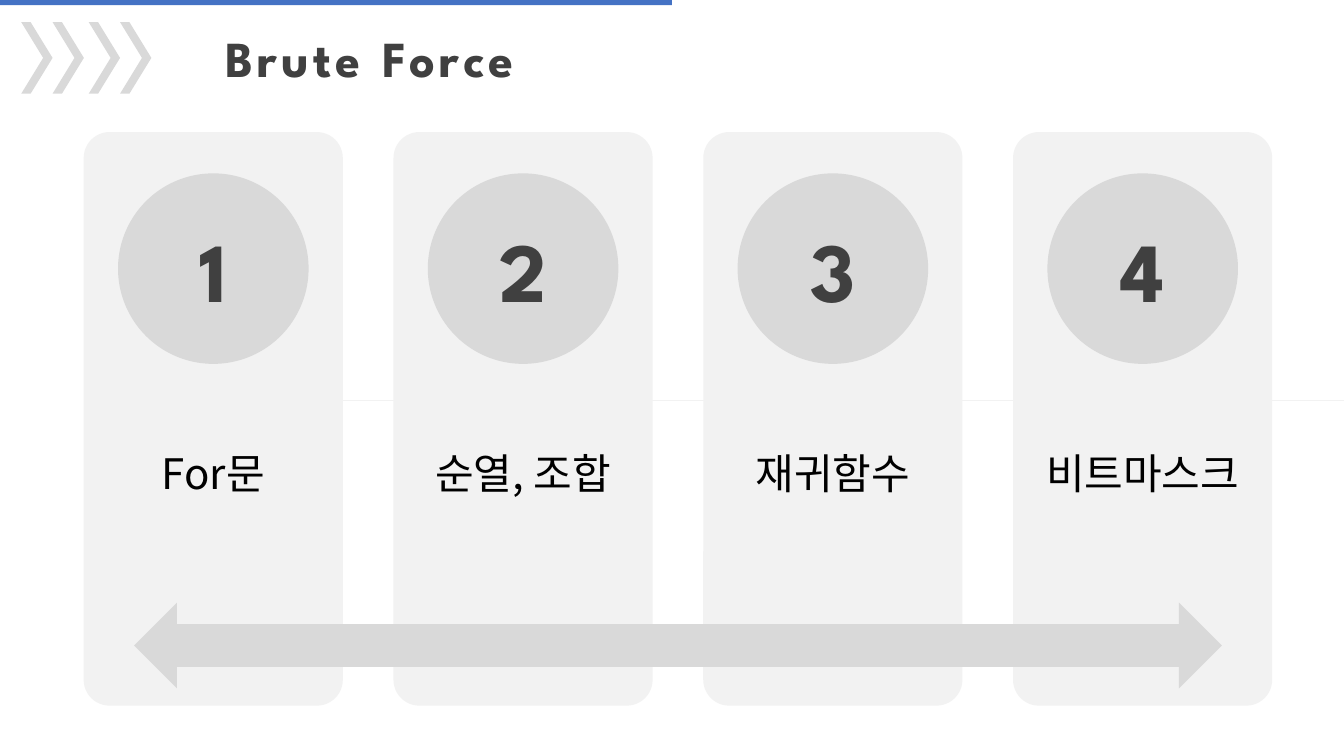
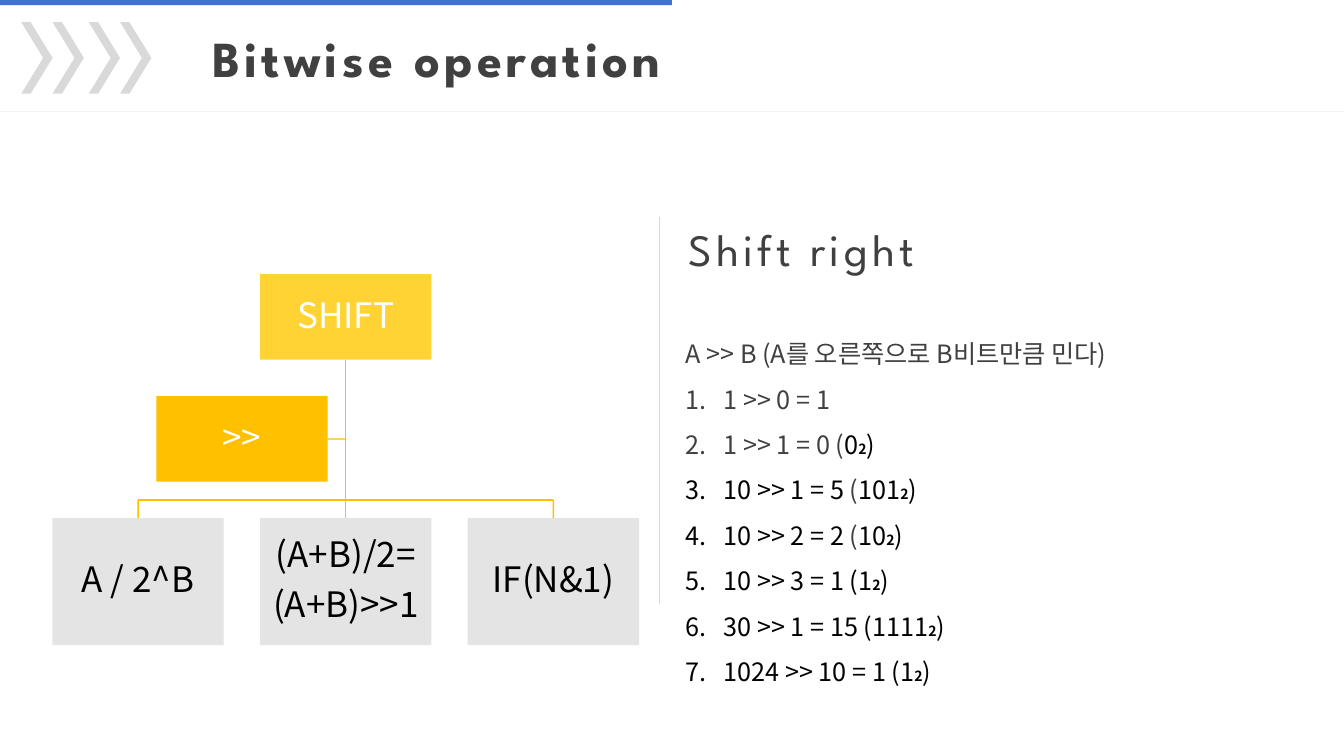
from lxml.etree import SubElement as Sub
from pptx import Presentation
from pptx.dml.color import RGBColor as RGB
from pptx.enum.shapes import MSO_CONNECTOR as Link, MSO_SHAPE as Kind
from pptx.enum.text import MSO_ANCHOR as Anchor, MSO_AUTO_SIZE as Fit, PP_ALIGN as Align
from pptx.oxml.ns import qn
from pptx.util import Inches, Pt


class Theme:
    blue, gold, sun = "4472C4", "FFC000", "FED333"
    ink, black, white = "404040", "000000", "FFFFFF"
    grey, pale, ash = "D9D9D9", "F2F2F2", "E4E4E4"
    head, text = "League Spartan", "Noto Sans CJK KR"
    title = dict(name=head, size=Pt(36), bold=True)
    sub = dict(name=head, size=Pt(32), bold=False)
    digit = dict(name=head, size=Pt(60), bold=True)
    card = dict(name=text, size=Pt(30), bold=False)
    node = dict(name=text, size=Pt(25), bold=False)
    body = dict(name=text, size=Pt(18), bold=False)
    base = dict(name=text, size=Pt(10), bold=True)
    fit = dict(word_wrap=False, auto_size=Fit.SHAPE_TO_FIT_TEXT, vertical_anchor=Anchor.TOP)
    wrap = dict(word_wrap=True, auto_size=Fit.NONE, vertical_anchor=Anchor.TOP)
    mid = dict(word_wrap=True, vertical_anchor=Anchor.MIDDLE)
    tight = dict(alignment=Align.CENTER, line_spacing=0.9, space_after=Pt(8.75))
    loose = dict(alignment=Align.JUSTIFY, line_spacing=1.5, space_before=Pt(0))
    hair, thin = Pt(0.5), Pt(1)


deck = Presentation()
deck.slide_width, deck.slide_height = Inches(13.33), Inches(7.5)
COL, ROW = deck.slide_width / 100, deck.slide_height / 100
SIDES = ("margin_left", "margin_top", "margin_right", "margin_bottom")
AREA = ("left", "top", "width", "height")
UNITS = (COL, ROW, COL, ROW)


def say(par, text, form, tint, gap=None):
    run = par.add_run()
    run.text = text
    for key, val in form.items():
        setattr(run.font, key, val)
    run.font.color.rgb = RGB.from_string(tint)
    prop = run.font._element
    Sub(prop, qn("a:ea")).set("typeface", form["name"])
    if gap:
        prop.set("spc", str(gap))


def rule(page, ends, tint, width, start=None, stop=None):
    spot = [int(end * unit) for end, unit in zip(ends, UNITS)]
    line = page.shapes.add_connector(Link.STRAIGHT, *spot)
    if start:
        line.begin_connect(*start)
    if stop:
        line.end_connect(*stop)
    line.line.color.rgb = RGB.from_string(tint)
    line.line.width = width
    Sub(line._element.spPr, qn("a:effectLst"))


bend = {Kind.CHEVRON: 0.7, Kind.ROUNDED_RECTANGLE: 0.1}
marks = [(Kind.RECTANGLE, (0, 0, 50, 0.67), Theme.blue, None)]
for pair in (1.58, 6.6):
    for step in (0, 2.33):
        marks.append((Kind.CHEVRON, (pair + step, 2.93, 2.33, 9.47), Theme.grey, None))

cards, discs = [], []
for num, name in enumerate(("For문", "순열, 조합", "재귀함수", "비트마스크")):
    left = 6.23 + 23.05 * num
    cards.append((Kind.ROUNDED_RECTANGLE, (left, 17.47, 19.28, 75.87), Theme.pale,
                  (name, Theme.card, Theme.black, (0.23, 2.51, 0.23, 1.37), Theme.tight)))
    discs.append((Kind.OVAL, (left + 2.55, 22.93, 14.18, 25.2), Theme.grey,
                  (str(num + 1), Theme.digit, Theme.ink, (0, 0, 0, 0), dict(alignment=Align.CENTER))))
arrow = (Kind.LEFT_RIGHT_ARROW, (9.98, 79.73, 80.93, 11.33), Theme.grey, None)

tree = []
for x, y, high, fill, tint, name in (
    (19.35, 36.27, 11.33, Theme.sun, Theme.white, "SHIFT"),
    (11.63, 52.4, 11.33, Theme.gold, Theme.white, ">>"),
    (3.9, 68.53, 16.8, Theme.ash, Theme.black, "A / 2^B"),
    (19.35, 68.53, 16.8, Theme.ash, Theme.black, "(A+B)/2=\n(A+B)>>1"),
    (34.8, 68.53, 16.8, Theme.ash, Theme.black, "IF(N&1)"),
):
    tree.append((Kind.RECTANGLE, (x, y, 12.75, high), fill,
                 (name, Theme.node, tint, (0.02,) * 4, Theme.tight)))

for lay, name, area, ends, items in (
    (5, "Brute Force", (13.43, 2.93, 25.58, 9.47), (12.3, 52.93, 100, 52.93), cards + [arrow] + discs),
    (1, "Bitwise operation", (12, 2.93, 37.95, 9.47), (0, 14.67, 100, 14.67), tree),
):
    page = deck.slides.add_slide(deck.slide_layouts[lay])
    title = page.shapes.title
    for key, val, unit in zip(AREA, area, UNITS):
        setattr(title, key, int(val * unit))
    for key, val in Theme.fit.items():
        setattr(title.text_frame, key, val)
    par = title.text_frame.paragraphs[0]
    par.alignment = Align.RIGHT
    say(par, name, Theme.title, Theme.ink, 300)
    rule(page, ends, Theme.pale, Theme.hair)
    made = []
    for kind, area, fill, label in marks + items:
        shape = page.shapes.add_shape(kind, *[int(val * unit) for val, unit in zip(area, UNITS)])
        shape.shadow.inherit = False
        shape.fill.solid()
        shape.fill.fore_color.rgb = RGB.from_string(fill)
        shape.line.fill.background()
        if kind in bend:
            shape.adjustments[0] = bend[kind]
        made.append(shape)
        if not label:
            continue
        text, form, tint, pad, flow = label
        frame = shape.text_frame
        for key, val in Theme.mid.items():
            setattr(frame, key, val)
        for key, val in zip(SIDES, pad):
            setattr(frame, key, Inches(val))
        for num, row in enumerate(text.split("\n")):
            par = frame.add_paragraph() if num else frame.paragraphs[0]
            for key, val in flow.items():
                setattr(par, key, val)
            say(par, row, form, tint)

root, side, *kids = made[len(marks):]
trunk, bus = 25.73, 66.13
rule(page, (trunk, 47.6, trunk, 68.53), Theme.gold, Theme.thin, (root, 2), (kids[1], 0))
rule(page, (24.38, 58.07, trunk, 58.07), Theme.gold, Theme.thin, (side, 3))
rule(page, (10.28, bus, 41.18, bus), Theme.gold, Theme.thin)
for x, kid in ((10.28, kids[0]), (41.18, kids[2])):
    rule(page, (x, bus, x, 68.53), Theme.gold, Theme.thin, None, (kid, 0))
rule(page, (49.05, 28.67, 49.05, 79.87), Theme.grey, Theme.hair)

area = [int(val * unit) for val, unit in zip((50.48, 28.67, 19.65, 8.53), UNITS)]
frame = page.shapes.add_textbox(*area).text_frame
for key, val in Theme.fit.items():
    setattr(frame, key, val)
say(frame.paragraphs[0], "Shift right", Theme.sub, Theme.ink, 300)

ink, black = Theme.ink, Theme.black
rows = (
    [("A >> B (A를 오른쪽으로 B비트만큼 민다)", ink)],
    [("1 >> 0 = 1", ink)],
    [("1 >> 1 = 0 (", ink), ("0", black)],
    [("10 >> 1 = 5 ", black), ("(", ink), ("101", black)],
    [("10 >> 2 = 2", black), (" (", ink), ("10", black)],
    [("10 >> 3 = 1 (1", black)],
    [("30 >> 1 = 15 (1111", black)],
    [("1024 >> 10 = 1 (1", black)],
)
body = page.placeholders[1]
for key, val, unit in zip(AREA, (50.25, 42.13, 44.25, 49.07), UNITS):
    setattr(body, key, int(val * unit))
for key, val in Theme.wrap.items():
    setattr(body.text_frame, key, val)
for num, row in enumerate(rows):
    par = body.text_frame.add_paragraph() if num else body.text_frame.paragraphs[0]
    for key, val in Theme.loose.items():
        setattr(par, key, val)
    prop = par._p.get_or_add_pPr()
    dent = Inches(0.38) if num else 0
    prop.set("marL", str(dent))
    prop.set("indent", str(-dent))
    if num:
        Sub(prop, qn("a:buFont")).set("typeface", "+mj-lt")
        Sub(prop, qn("a:buAutoNum")).set("type", "arabicPeriod")
    else:
        Sub(prop, qn("a:buNone"))
    for text, tint in row:
        say(par, text, Theme.body, tint)
    if num > 1:
        say(par, "2", Theme.base, black)
        say(par, ")", Theme.body, black)

deck.save("out.pptx")
